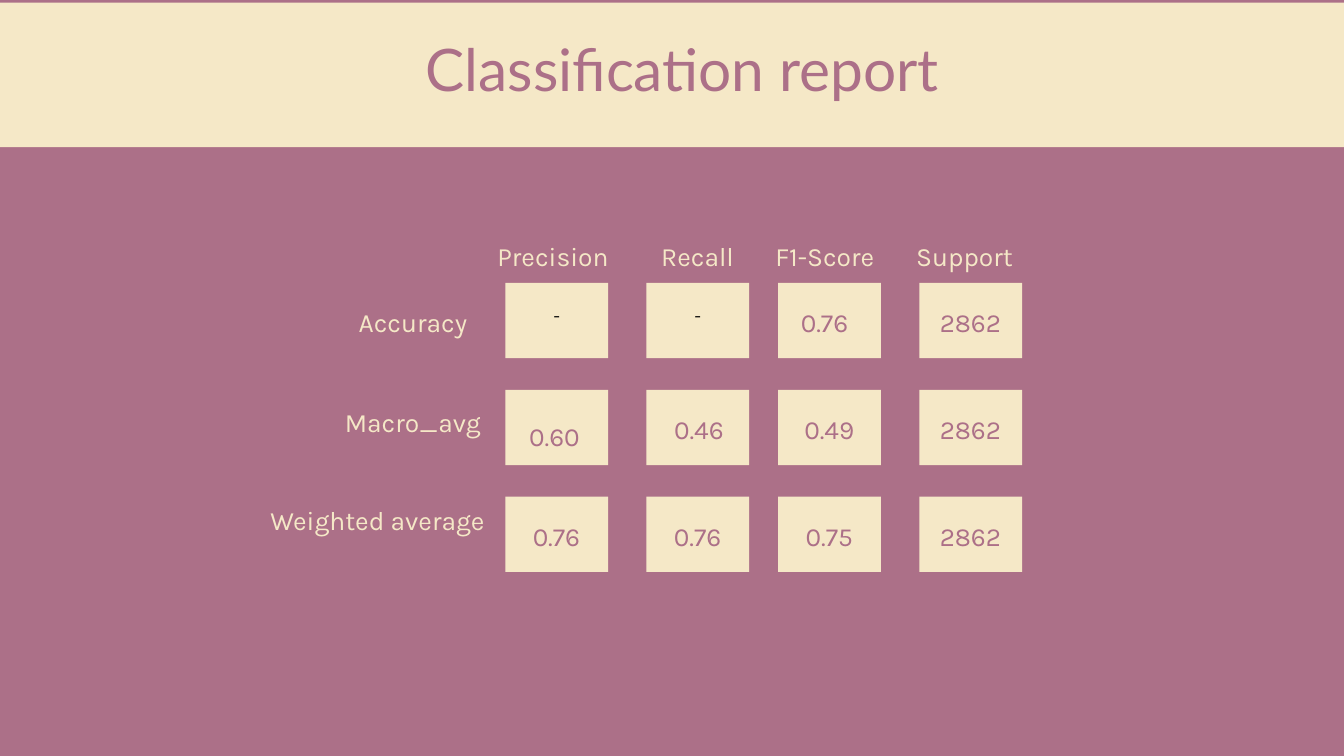
from dataclasses import dataclass

from pptx import Presentation
from pptx.dml.color import RGBColor
from pptx.enum.shapes import MSO_SHAPE
from pptx.enum.text import MSO_ANCHOR, PP_ALIGN
from pptx.util import Emu, Pt

PX = 9144  # EMU in one px, 100 px to the inch


@dataclass(frozen=True)
class TextStyle:
    font: str
    size: float
    leading: float
    color: RGBColor


class Theme:
    mauve = RGBColor.from_string("AC7088")
    cream = RGBColor.from_string("F5E8C7")
    black = RGBColor.from_string("000000")
    title = TextStyle("Lato", 62.8, 59, mauve)
    label = TextStyle("Karla", 28.3, 39.6, cream)
    value = TextStyle("Karla", 28, 39.2, mauve)
    dash = TextStyle("Karla", 19.4, 27.1, black)


# Heading, its left edge and width, and the left edge of its cells
COLUMNS = [
    ("Precision", 345, 176, 362),
    ("Recall", 589, 118, 572),
    ("F1-Score", 753, 169, 768),
    ("Support", 967, 157, 978),
]
# Label, its left edge, top and width, and the values
ROWS = [
    ("Accuracy", 135, 99, 179, ["-", "-", "0.76", "2862"]),
    ("Macro_avg", 121, 247, 207, ["0.60", "0.46", "0.49", "2862"]),
    ("Weighted average", 0, 394, 344, ["0.76", "0.76", "0.75", "2862"]),
]
# Small shifts of single values, by row and column
NUDGES = {(0, 2): (-7, 0), (1, 0): (-3, 11), (1, 1): (2, 0)}

FIRST_ROW_TOP, ROW_PITCH = 72, 159
CELL_WIDTH, CELL_HEIGHT = 153, 112
VALUE_WIDTH, VALUE_HEIGHT, VALUE_TOP = 92, 53, 27
LABEL_HEIGHT = 52
DASH_RISE, DASH_INSET = 20, 6


def scaled(*lengths):
    return [Emu(length * PX) for length in lengths]


def add_panel(page, left, top, width, height):
    panel = page.shapes.add_shape(MSO_SHAPE.RECTANGLE, *scaled(left, top, width, height))
    panel.shadow.inherit = False
    panel.fill.solid()
    panel.fill.fore_color.rgb = Theme.cream
    panel.line.fill.background()


def add_text(page, left, top, width, height, text, style, inset=0, anchor=MSO_ANCHOR.TOP):
    box = page.shapes.add_textbox(*scaled(left, top, width, height))
    frame = box.text_frame
    frame.word_wrap = True
    frame.vertical_anchor = anchor
    frame.margin_left, frame.margin_top, frame.margin_right, frame.margin_bottom = scaled(*[inset] * 4)
    para = frame.paragraphs[0]
    para.alignment = PP_ALIGN.CENTER
    para.line_spacing = Pt(style.leading)
    span = para.add_run()
    span.text = text
    span.font.name = style.font
    span.font.size = Pt(style.size)
    span.font.color.rgb = style.color


def add_title_band(page, left, top, width, height):
    add_panel(page, left, top, width, height)
    add_text(page, left + 242, top + 67, 1547, 94, "Classification report", Theme.title)


def add_cell(page, left, top, text, nudge):
    add_panel(page, left, top, CELL_WIDTH, CELL_HEIGHT)
    if text == "-":
        add_text(page, left, top - DASH_RISE, CELL_WIDTH, CELL_HEIGHT + DASH_RISE,
                 text, Theme.dash, DASH_INSET, MSO_ANCHOR.MIDDLE)
        return
    right, down = nudge
    margin = (CELL_WIDTH - VALUE_WIDTH) // 2
    add_text(page, left + margin + right, top + VALUE_TOP + down,
             VALUE_WIDTH, VALUE_HEIGHT, text, Theme.value)


def add_score_grid(page, left, top):
    for heading, x, width, _ in COLUMNS:
        add_text(page, left + x, top, width, LABEL_HEIGHT, heading, Theme.label)
    for row, (label, x, y, width, values) in enumerate(ROWS):
        add_text(page, left + x, top + y, width, LABEL_HEIGHT, label, Theme.label)
        cell_top = top + FIRST_ROW_TOP + row * ROW_PITCH
        for column, value in enumerate(values):
            cell_left = left + COLUMNS[column][-1]
            add_cell(page, cell_left, cell_top, value, NUDGES.get((row, column), (0, 0)))


def main():
    deck = Presentation()
    deck.slide_width, deck.slide_height = scaled(2000, 1125)
    page = deck.slides.add_slide(deck.slide_layouts[6])
    page.background.fill.solid()
    page.background.fill.fore_color.rgb = Theme.mauve
    add_title_band(page, 0, 4, 2000, 215)
    add_score_grid(page, 390, 349)
    deck.save("out.pptx")


if __name__ == "__main__":
    main()
